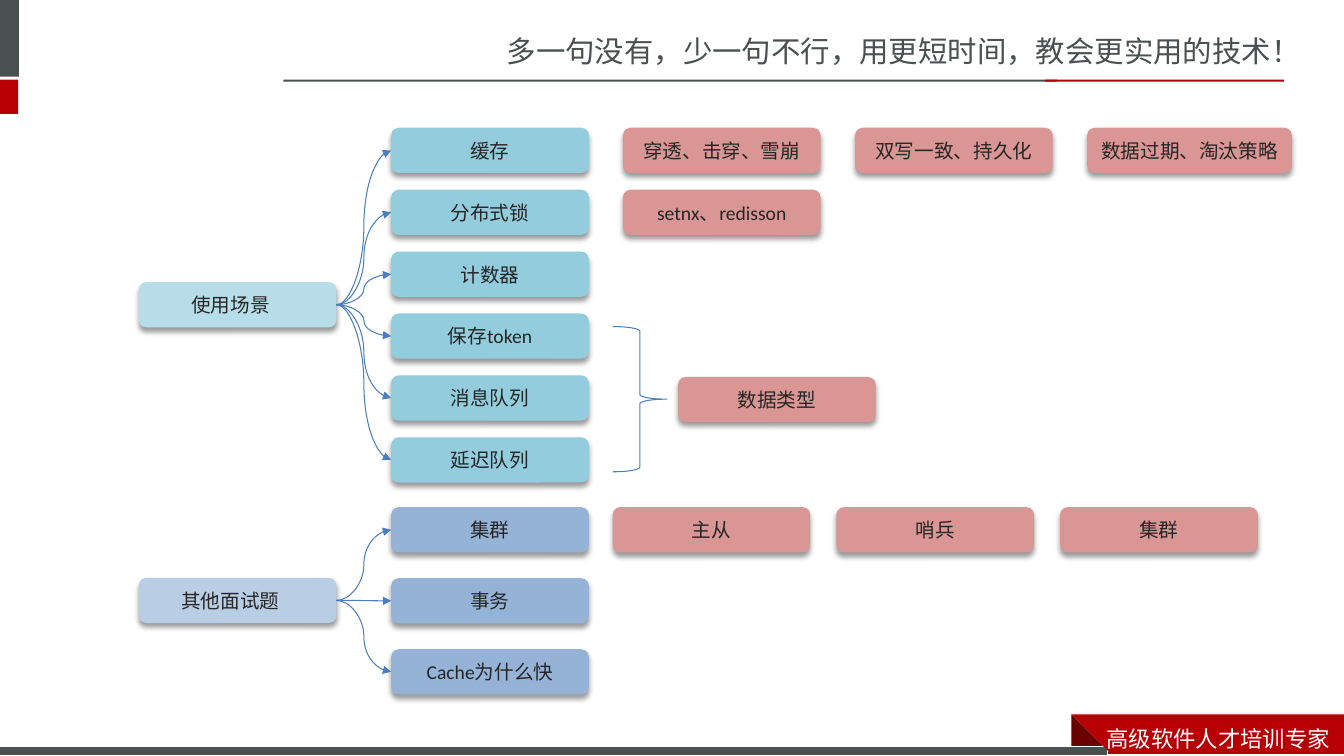
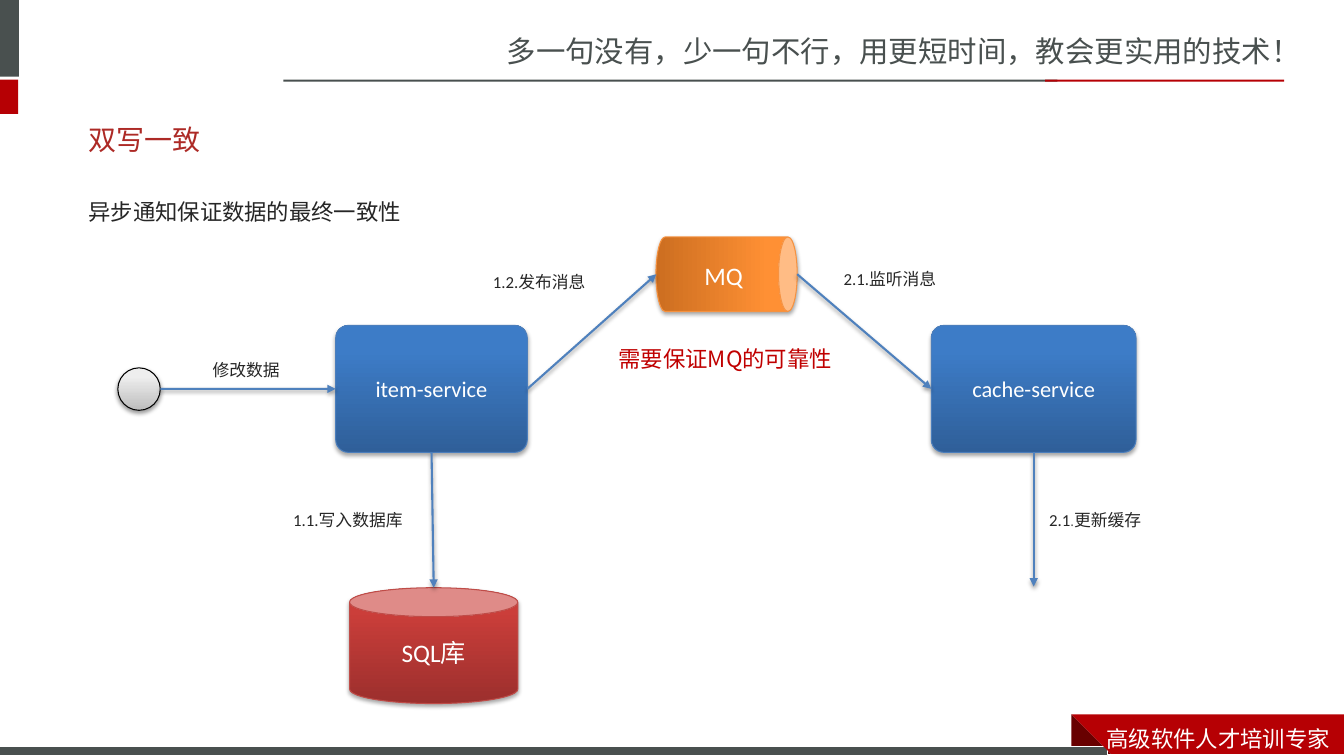
from lxml import etree
from pptx import Presentation
from pptx import util as u
from pptx.dml import color
from pptx.enum import dml, shapes, text
from pptx.oxml import ns

SC, JP = "Noto Sans CJK SC", "Noto Sans CJK JP"
GREY, RED, DARK_RED, WHITE, INK = "49504F", "B60004", "680000", "FFFFFF", "262626"
CYAN, PALE_CYAN, BLUE, PALE_BLUE, PINK = "93CDDD", "B7DEE8", "95B3D7", "B9CDE5", "D99694"
CURVE, ARROW = "4B7EBC", "4F81BD"
BOX_WIDTH, BOX_HEIGHT = 4.98, 1.14
ROOT_LEFT, BRANCH_LEFT = 3.5, 9.86
SOFT_SHADOW, NODE_SHADOW, LINE_SHADOW = (40, 4, 3), (35, 3.1, 1.8), (38, 3.1, 1.6)
SHAPE, CONNECTOR = shapes.MSO_SHAPE, shapes.MSO_CONNECTOR


def rgb(value):
    """Turn a hex string into a colour."""
    return color.RGBColor.from_string(value)


def cm(*lengths):
    """Turn numbers into lengths in centimetres."""
    return [u.Cm(length) for length in lengths]


def add_child(parent, tag, **attributes):
    """Append a drawing element with its attributes."""
    values = {name: str(value) for name, value in attributes.items()}
    return etree.SubElement(parent, ns.qn(tag), values)


def add_shadow(effects, shadow):
    """Put a black shadow falling downwards into an effect list."""
    alpha, blur, distance = shadow
    outer = add_child(effects, "a:outerShdw", blurRad=u.Pt(blur), dist=u.Pt(distance),
                      dir=5400000, algn="ctr", rotWithShape=0)
    black = add_child(outer, "a:srgbClr", val="000000")
    add_child(black, "a:alpha", val=alpha * 1000)


def format_run(run, size, ink, latin="Calibri", asian=SC):
    """Set the size, colour and fonts of a run."""
    run.font.size = u.Pt(size)
    run.font.color.rgb = rgb(ink)
    run.font.name = latin
    add_child(run._r.get_or_add_rPr(), "a:ea", typeface=asian)


def write(shape, words, size, ink, latin="Calibri", asian=SC, centred=False):
    """Write one formatted paragraph into a shape."""
    frame = shape.text_frame
    frame.text = words
    frame.word_wrap = True
    frame.vertical_anchor = text.MSO_ANCHOR.MIDDLE if centred else text.MSO_ANCHOR.TOP
    paragraph = frame.paragraphs[0]
    paragraph.alignment = text.PP_ALIGN.CENTER if centred else text.PP_ALIGN.LEFT
    format_run(paragraph.runs[0], size, ink, latin, asian)
    return paragraph


def add_label(slide, place, words, size=12, ink=INK, latin="Calibri", asian=SC):
    """Add a left-aligned text box and return its paragraph."""
    return write(slide.shapes.add_textbox(*cm(*place)), words, size, ink, latin, asian)


def add_statement(slide, place, words, ink):
    """Add a widely spaced line of body text."""
    paragraph = add_label(slide, place, words, 16, ink, JP, JP)
    paragraph.line_spacing = 1.5
    paragraph.space_before = u.Pt(3.2)


def paint(shape, fill, line=None, shadow=None):
    """Give a shape a plain or two-colour fill, an outline and a shadow."""
    if isinstance(fill, tuple):
        shape.fill.gradient()
        shape.fill.gradient_angle = 90
        for stop, value, position in zip(shape.fill.gradient_stops, fill, (0, 0.8)):
            stop.color.rgb = rgb(value)
            stop.position = position
    elif fill:
        shape.fill.solid()
        shape.fill.fore_color.rgb = rgb(fill)
    else:
        shape.fill.background()
    if line:
        shape.line.color.rgb = rgb(line)
        shape.line.width = u.Pt(0.75)
    else:
        shape.line.fill.background()
    shape.shadow.inherit = False
    if shadow:
        add_shadow(shape.element.spPr.find(ns.qn("a:effectLst")), shadow)
    return shape


def add_figure(slide, kind, place, fill, line=None, shadow=None):
    """Add a painted preset shape."""
    return paint(slide.shapes.add_shape(kind, *cm(*place)), fill, line, shadow)


def add_polygon(slide, points, fill):
    """Add a filled outline through the given points."""
    builder = slide.shapes.build_freeform(*points[0], scale=u.Cm(1))
    builder.add_line_segments(points[1:], close=True)
    return paint(builder.convert_to_shape(), fill)


def add_box(slide, left, top, words, fill, width=BOX_WIDTH):
    """Add a rounded topic box."""
    place = (left, top, width, BOX_HEIGHT)
    box = add_figure(slide, SHAPE.ROUNDED_RECTANGLE, place, fill, shadow=SOFT_SHADOW)
    write(box, words, 14, INK, centred=True)
    return box


def add_arrow(slide, start, end, kind=CONNECTOR.STRAIGHT, ink=ARROW, width=1.5,
              shadow=LINE_SHADOW):
    """Add a connector with an arrowhead at its end."""
    arrow = slide.shapes.add_connector(kind, *cm(*start, *end))
    arrow.line.color.rgb = rgb(ink)
    arrow.line.width = u.Pt(width)
    add_child(arrow.line._get_or_add_ln(), "a:tailEnd", type="triangle")
    effects = add_child(arrow.element.spPr, "a:effectLst")
    if shadow:
        add_shadow(effects, shadow)
    return arrow


def add_service(slide, left, width, words):
    """Add a blue service node."""
    node = add_figure(slide, SHAPE.ROUNDED_RECTANGLE, (left, 8.2, width, 3.2),
                      ("2F5F99", "3D7CC7"), CURVE, NODE_SHADOW)
    node.adjustments[0] = 0.1
    write(node, words, 16, WHITE, centred=True)
    return node


def add_branches(slide, root_name, root_top, root_fill, names, top, step, fill):
    """Add a root box with curved arrows to a column of boxes."""
    root = add_box(slide, ROOT_LEFT, root_top, root_name, root_fill)
    root.text_frame.margin_right = u.Cm(0.61)
    start = (ROOT_LEFT + BOX_WIDTH, root_top + BOX_HEIGHT / 2)
    for row, name in enumerate(names):
        box_top = top + row * step
        box = add_box(slide, BRANCH_LEFT, box_top, name, fill)
        arrow = add_arrow(slide, start, (BRANCH_LEFT, box_top + BOX_HEIGHT / 2),
                          CONNECTOR.CURVE, CURVE, 0.75, None)
        arrow.begin_connect(root, 3)
        arrow.end_connect(box, 1)


def add_master_frame(presentation, slide):
    """Draw the shared bands and slogans and move them to the master."""
    add_label(slide, (12.52, 0.71, 21.34, 1.19), "多一句没有，少一句不行，用更短时间，教会更实用的技术！",
              21, GREY, SC)
    bands = [((0, 0, 0.48, 1.93), GREY), ((0, 2.01, 0.46, 0.86), RED),
             ((7.14, 2.01, 19.51, 0.05), GREY), ((26.34, 2.01, 6.02, 0.05), RED)]
    for place, fill in bands:
        add_figure(slide, SHAPE.RECTANGLE, place, fill)
    add_polygon(slide, [(27.25, 18.29), (27.81, 18.87), (26.7, 18.87)], DARK_RED)
    add_figure(slide, SHAPE.RECTANGLE, (0, 18.82, 27.92, 0.23), GREY, WHITE)
    add_polygon(slide, [(27.25, 18.29), (33.87, 18.29), (33.87, 19.05), (27.55, 19.05)], RED)
    add_label(slide, (27.64, 18.16, 6.23, 0.89), "高级软件人才培训专家", 16, WHITE, SC)
    for number, shape in enumerate(list(slide.shapes), 100):
        shape.element.xpath(".//p:cNvPr")[0].set("id", str(number))
        presentation.slide_master.shapes.element.append(shape.element)


def build_topic_map(slide):
    """Build the map of interview topics."""
    top, step, cluster_top = 3.22, 1.56, 12.78
    add_branches(slide, "使用场景", 7.11, PALE_CYAN,
                 ["缓存", "分布式锁", "计数器", "保存token", "消息队列", "延迟队列"],
                 top, step, CYAN)
    add_branches(slide, "其他面试题", 14.56, PALE_BLUE,
                 ["集群", "事务", "Cache为什么快"], cluster_top, 1.79, BLUE)
    cache_topics = [("穿透、击穿、雪崩", BOX_WIDTH), ("双写一致、持久化", BOX_WIDTH),
                    ("数据过期、淘汰策略", 5.16)]
    for column, (words, width) in enumerate(cache_topics):
        add_box(slide, 15.7 + column * 5.85, top, words, PINK, width)
    add_box(slide, 15.7, top + step, "setnx、redisson", PINK)
    add_figure(slide, SHAPE.RIGHT_BRACE, (15.44, 8.23, 1.37, 3.66), None, CURVE)
    add_box(slide, 17.09, 9.5, "数据类型", PINK)
    for column, words in enumerate(["主从", "哨兵", "集群"]):
        add_box(slide, 15.44 + column * 5.64, cluster_top, words, PINK)


def build_double_write(slide):
    """Build the asynchronous notification diagram."""
    title = slide.shapes.title
    title.left, title.top, title.width, title.height = cm(1.98, 2.79, 29.72, 1.45)
    write(title, "双写一致", 20, "AD2A26", "Roboto")
    title.text_frame.vertical_anchor = text.MSO_ANCHOR.MIDDLE
    add_statement(slide, (1.98, 4.52, 29.72, 1.4), "异步通知保证数据的最终一致性", INK)

    item = add_service(slide, 8.46, 4.83, "item-service")
    cache = add_service(slide, 23.47, 5.16, "cache-service")
    database = add_figure(slide, SHAPE.CAN, (8.81, 14.81, 4.24, 2.92),
                          ("9C2F2D", "CB3E3A"), "BF4C48", NODE_SHADOW)
    write(database, "SQL库", 18, WHITE, centred=True)
    add_figure(slide, SHAPE.OVAL, (2.97, 9.27, 1.07, 1.07), ("BDBDBD", "EEEEEE"),
               "000000", LINE_SHADOW)
    queue = add_figure(slide, SHAPE.CAN, (17.37, 5.13, 1.88, 3.56), ("CC6E20", "FF9034"),
                       "F69240", NODE_SHADOW)
    queue.rotation = 90
    add_label(slide, (17.5, 6.43, 1.6, 1.02), "MQ", 18, WHITE)

    add_arrow(slide, (4.04, 9.8), (8.46, 9.8)).end_connect(item, 1)
    add_arrow(slide, (10.88, 11.4), (10.93, 14.81)).begin_connect(item, 2)
    add_arrow(slide, (13.29, 9.8), (16.54, 6.91)).begin_connect(item, 3)
    add_arrow(slide, (20.09, 6.91), (23.47, 9.8)).end_connect(cache, 1)
    add_arrow(slide, (26.05, 11.4), (26.05, 14.78)).begin_connect(cache, 2)

    labels = [(5.11, 8.94, 2.39, "修改数据"), (7.14, 12.73, 3.78, "1.1.写入数据库"),
              (12.17, 6.73, 3.43, "1.2.发布消息"), (21.01, 6.65, 3.43, "2.1.监听消息")]
    for left, top, width, words in labels:
        add_label(slide, (left, top, width, 0.76), words)
    update = add_label(slide, (26.19, 12.73, 3.35, 0.76), "2.1")
    for words, size, ink in [(".", 10.5, "595959"), ("更新缓存", 12, INK)]:
        run = update.add_run()
        run.text = words
        format_run(run, size, ink)
    add_statement(slide, (15.34, 8.23, 6.78, 1.4), "需要保证MQ的可靠性", "C00000")


def main():
    """Build and save the presentation."""
    presentation = Presentation()
    presentation.slide_width, presentation.slide_height = cm(33.87, 19.05)
    title_only, blank = presentation.slide_layouts[5], presentation.slide_layouts[6]
    topic_map = presentation.slides.add_slide(blank)
    add_master_frame(presentation, topic_map)
    build_topic_map(topic_map)
    build_double_write(presentation.slides.add_slide(title_only))
    presentation.save("out.pptx")


if __name__ == "__main__":
    main()
